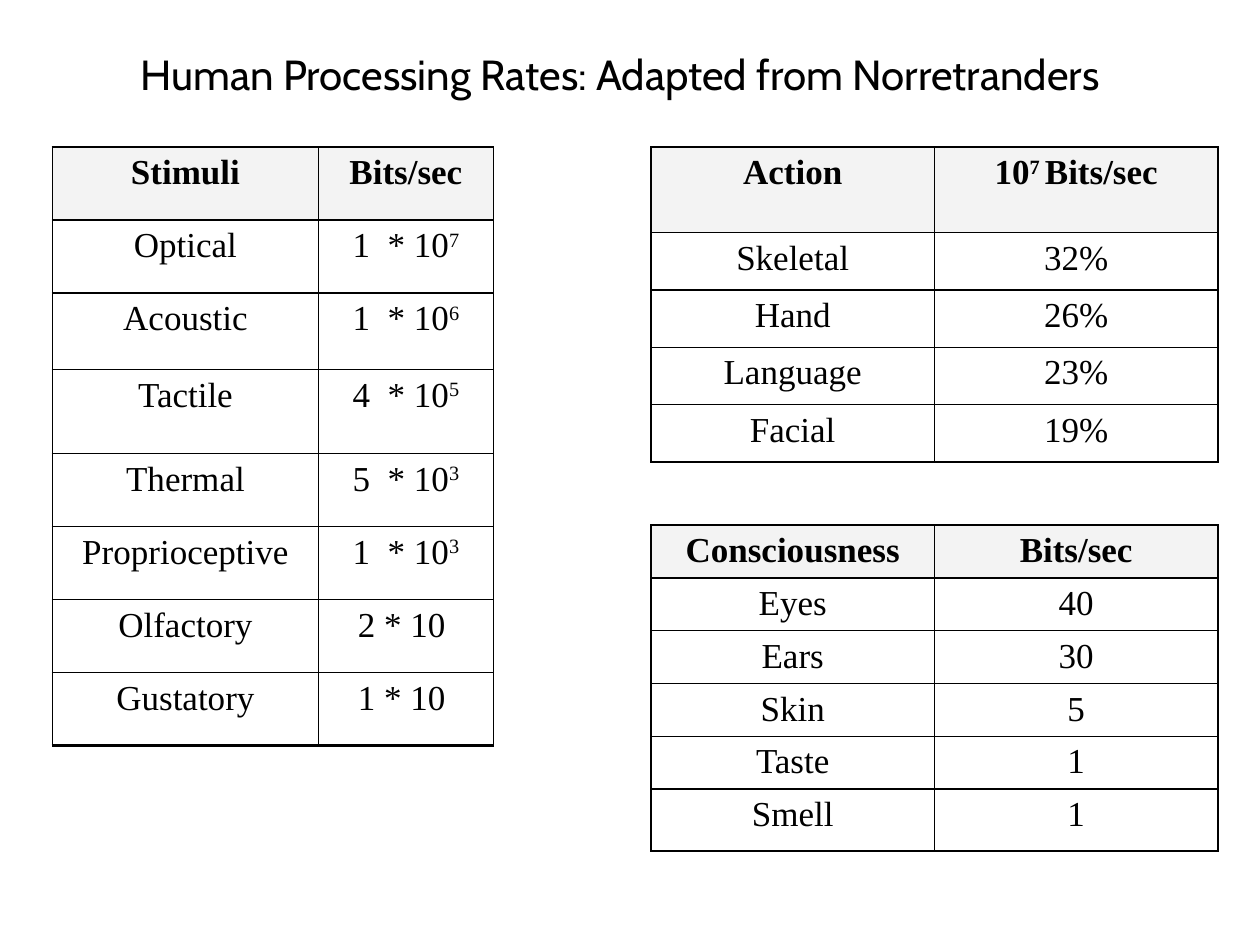
from dataclasses import dataclass

from pptx import Presentation
from pptx.dml.color import RGBColor
from pptx.enum import text
from pptx.oxml import parse_xml
from pptx.oxml.ns import nsdecls
from pptx.util import Pt


@dataclass(frozen=True)
class Theme:
    ink: str = "000000"
    header_fill: str = "F3F3F3"
    title_font: str = "Cabin"
    table_font: str = "Times New Roman"
    title_size: float = 24
    table_size: float = 20
    line: float = 1


@dataclass(frozen=True)
class RateTable:
    left: float
    top: float
    columns: tuple[float, ...]
    heights: tuple[float, ...]
    rows: tuple[tuple[str, str], ...]  # text between carets is superscript
    inner_line: float = Theme.line
    bottom_line: float = Theme.line


THEME = Theme()
RIGHT_LEFT, RIGHT_COLUMNS = 372, (162, 162)

TABLES = (
    RateTable(
        30, 84, (152, 100), (41.75, 41.75, 43.75, 48) + (41.75,) * 4,
        (("Stimuli", "Bits/sec"),
         ("Optical", "1  * 10^7"),
         ("Acoustic", "1  * 10^6"),
         ("Tactile", "4  * 10^5"),
         ("Thermal", "5  * 10^3"),
         ("Proprioceptive", "1  * 10^3"),
         ("Olfactory", "2 * 10 "),
         ("Gustatory", "1 * 10 ")),
        inner_line=0.75, bottom_line=2),
    RateTable(
        RIGHT_LEFT, 300, RIGHT_COLUMNS, (30.2,) * 5 + (35.25,),
        (("Consciousness", "Bits/sec"),
         ("Eyes", "40"),
         ("Ears", "30"),
         ("Skin", "5"),
         ("Taste", "1"),
         ("Smell", "1"))),
    RateTable(
        RIGHT_LEFT, 84, RIGHT_COLUMNS, (49,) + (32.75,) * 4,
        (("Action", "10^7 ^Bits/sec"),
         ("Skeletal", "32%"),
         ("Hand", "26%"),
         ("Language", "23%"),
         ("Facial", "19%"))),
)


def write(tf, content: str, *, font: str, size: float, bold: bool = False) -> None:
    """Write one centred paragraph, raising the parts between carets."""
    p = tf.paragraphs[0]
    p.alignment = text.PP_ALIGN.CENTER
    p.space_before = Pt(0)
    for i, part in enumerate(content.split("^")):
        r = p.add_run()
        r.text = part
        r.font.name, r.font.size, r.font.bold = font, Pt(size), bold
        r.font.color.rgb = RGBColor.from_string(THEME.ink)
        if i % 2:
            r.font._element.set("baseline", "30000")


def set_borders(cell, widths: dict[str, float]) -> None:
    tc_pr = cell._tc.get_or_add_tcPr()
    for side in "LRTB":
        tc_pr.append(parse_xml(
            f'<a:ln{side} {nsdecls("a")} w="{Pt(widths[side])}">'
            f'<a:solidFill><a:srgbClr val="{THEME.ink}"/></a:solidFill>'
            f'</a:ln{side}>'))


def draw_table(s, spec: RateTable) -> None:
    last_row, last_col = len(spec.rows) - 1, len(spec.columns) - 1
    frame = s.shapes.add_table(
        last_row + 1, last_col + 1, Pt(spec.left), Pt(spec.top),
        Pt(sum(spec.columns)), Pt(sum(spec.heights)))
    table = frame.table
    table.first_row = table.horz_banding = False
    for column, width in zip(table.columns, spec.columns):
        column.width = Pt(width)
    for i, (height, values) in enumerate(zip(spec.heights, spec.rows)):
        table.rows[i].height = Pt(height)
        inner = THEME.line if i == 0 else spec.inner_line
        for j, value in enumerate(values):
            cell = table.cell(i, j)
            write(cell.text_frame, value, font=THEME.table_font,
                  size=THEME.table_size, bold=i == 0)
            set_borders(cell, {
                "L": THEME.line if j == 0 else inner,
                "R": THEME.line if j == last_col else inner,
                "T": THEME.line if i <= 1 else inner,
                "B": spec.bottom_line if i == last_row else inner,
            })
            if i == 0:
                cell.fill.solid()
                cell.fill.fore_color.rgb = RGBColor.from_string(THEME.header_fill)
            else:
                cell.fill.background()


def draw_title(s, content: str) -> None:
    sp = s.shapes.title
    sp.left, sp.top, sp.width, sp.height = Pt(48), Pt(24), Pt(618), Pt(36)
    tf = sp.text_frame
    tf.word_wrap = True
    tf.auto_size = text.MSO_AUTO_SIZE.NONE
    tf.vertical_anchor = text.MSO_ANCHOR.MIDDLE
    write(tf, content, font=THEME.title_font, size=THEME.title_size)


def main() -> None:
    prs = Presentation()
    prs.slide_width, prs.slide_height = Pt(720), Pt(540)
    s = prs.slides.add_slide(prs.slide_layouts.get_by_name("Title Only"))

    # Heading
    draw_title(s, "Human Processing Rates: Adapted from Norretranders ")

    # Stimuli on the left, consciousness and action on the right
    for spec in TABLES:
        draw_table(s, spec)

    prs.save("out.pptx")


if __name__ == "__main__":
    main()
